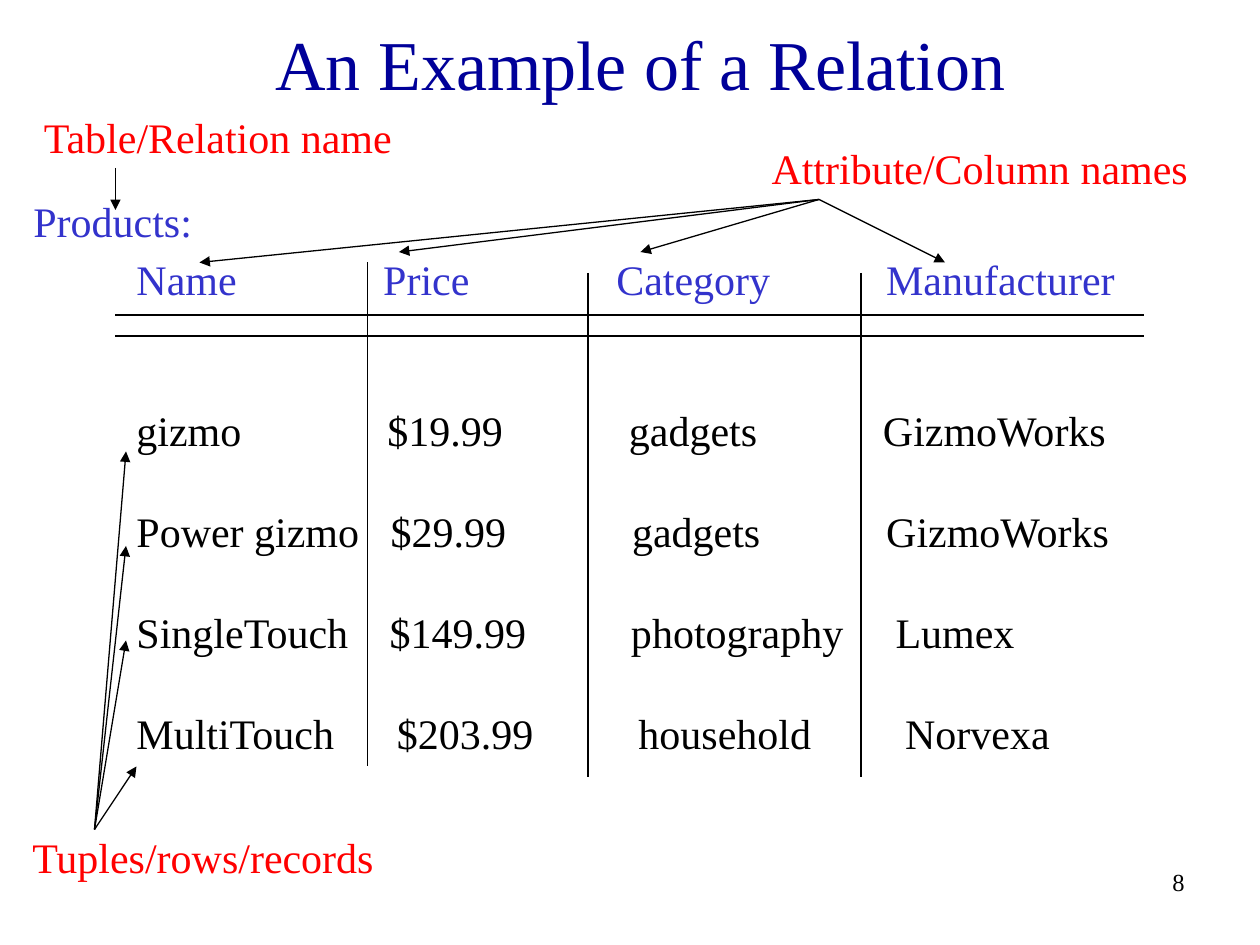
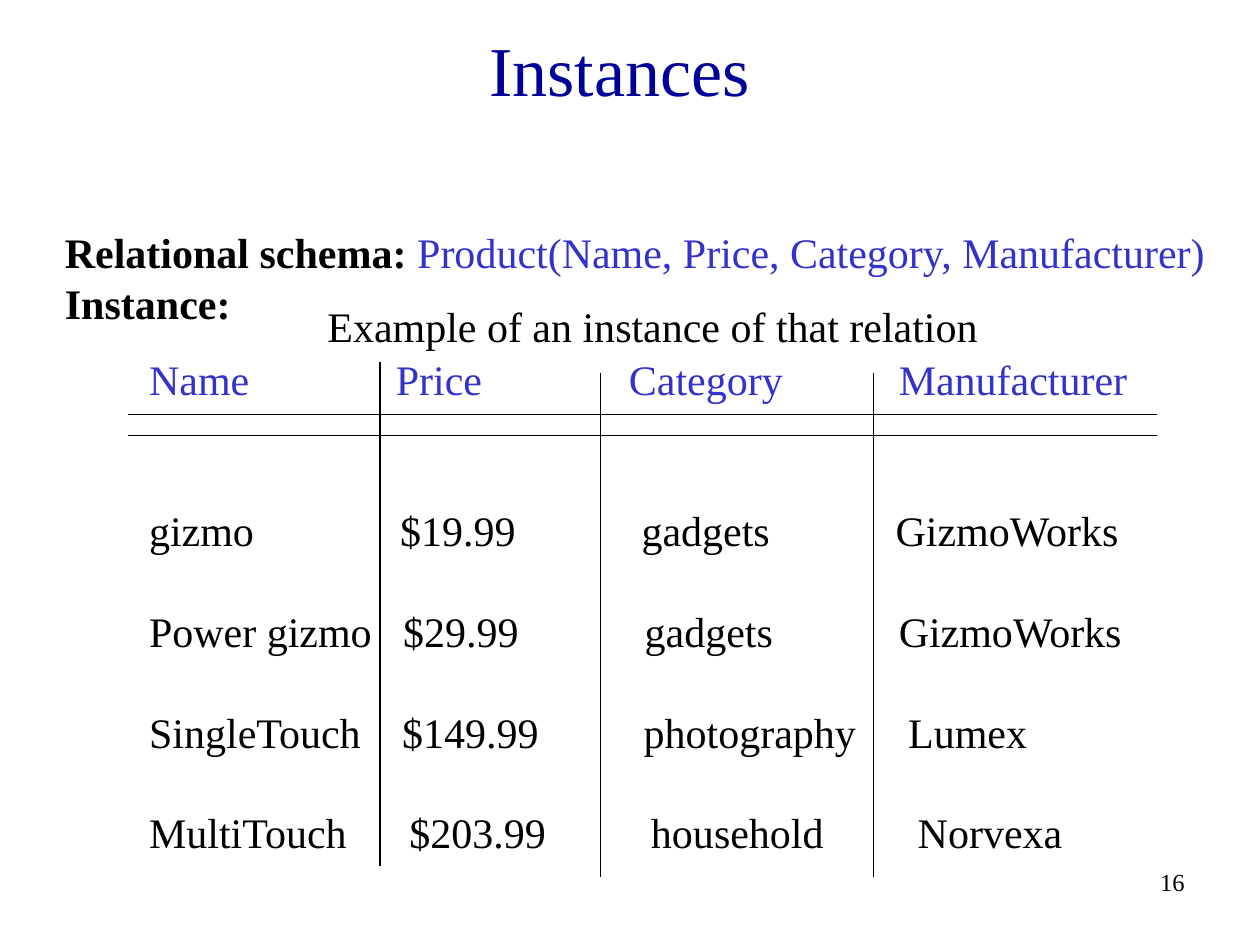
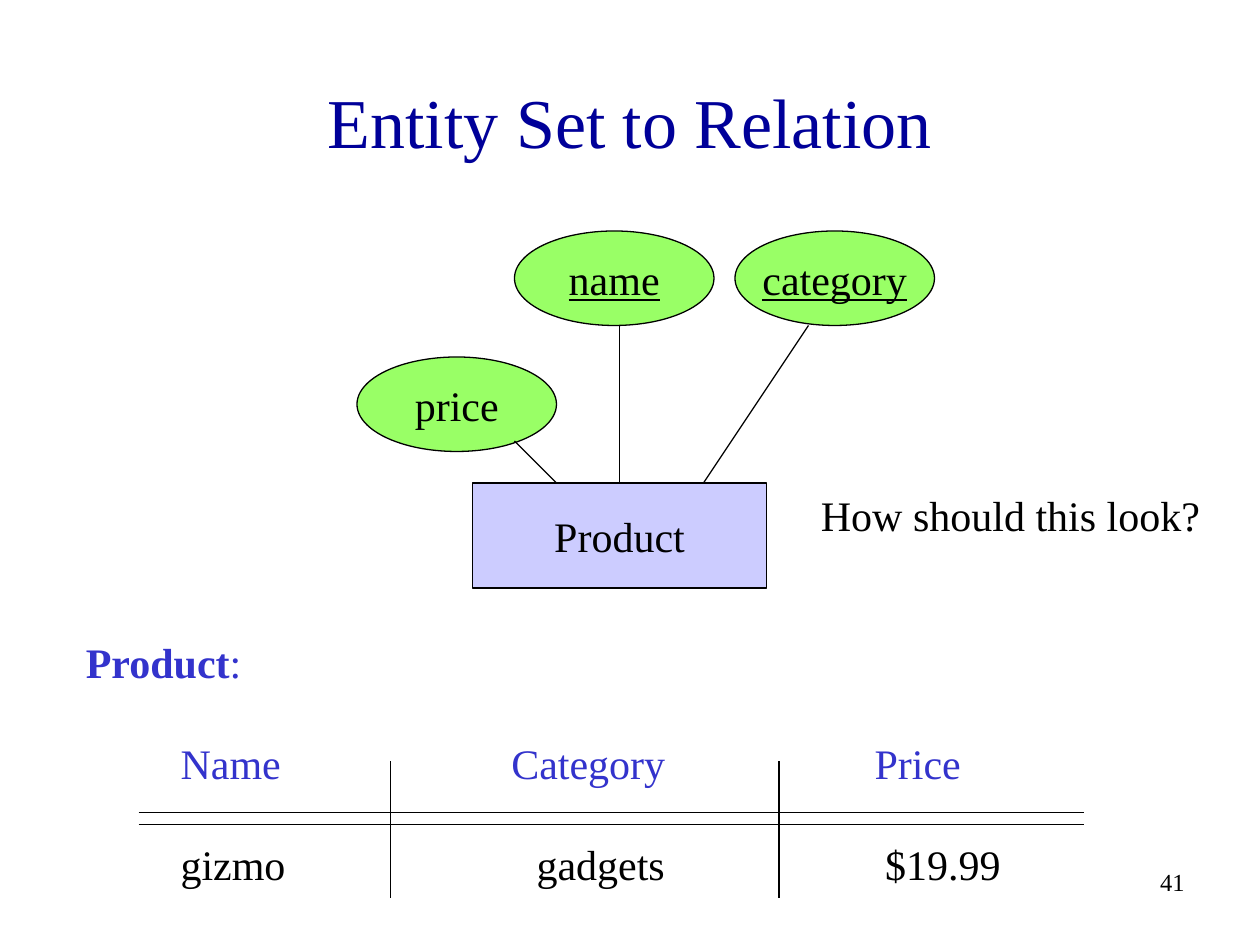
from dataclasses import dataclass
from itertools import accumulate

from pptx import Presentation
from pptx.dml.color import RGBColor
from pptx.enum.shapes import MSO_CONNECTOR, MSO_SHAPE
from pptx.enum.text import MSO_ANCHOR as Anchor
from pptx.enum.text import PP_ALIGN as Align
from pptx.oxml.ns import qn
from pptx.oxml.xmlchemy import OxmlElement
from pptx.shapes.autoshape import Shape
from pptx.shapes.connector import Connector
from pptx.slide import Slide
from pptx.text.text import TextFrame
from pptx.util import Emu, Pt

EMU_PER_PX = 7620
SLIDE_WIDTH, SLIDE_HEIGHT = 1200, 900
TITLE_ONLY = 5
FONT = "Times New Roman"
TEXT_SIZE, TITLE_SIZE, NUMBER_SIZE = 24, 40, 14
LINE_HEIGHT = 1.2
LINE_WIDTH = 0.75
LABEL_HEIGHT = 60
INSET_X, INSET_Y = 12, 6

BLACK = RGBColor(0x00, 0x00, 0x00)
NAVY = RGBColor(0x00, 0x00, 0x99)
BLUE = RGBColor(0x33, 0x33, 0xCC)
RED = RGBColor(0xFF, 0x00, 0x00)
LAVENDER = RGBColor(0xCC, 0xCC, 0xFF)
GREEN = RGBColor(0x99, 0xFF, 0x66)

Point = tuple[int, int]


@dataclass(frozen=True)
class Box:
    left: int
    top: int
    width: int
    height: int = LABEL_HEIGHT

    def emu(self) -> tuple[Emu, Emu, Emu, Emu]:
        return px(self.left), px(self.top), px(self.width), px(self.height)


@dataclass(frozen=True)
class Run:
    text: str
    color: RGBColor = BLACK
    bold: bool = False
    underline: bool = False
    size: int = TEXT_SIZE


@dataclass(frozen=True)
class Cell:
    text: str
    indent: int


@dataclass(frozen=True)
class Divider:
    top: int
    height: int


@dataclass(frozen=True)
class Relation:
    widths: tuple[int, ...]
    header_height: int
    row_height: int
    rows: tuple[tuple[Cell, ...], ...]
    rules: tuple[int, ...]
    dividers: tuple[Divider, ...]


@dataclass(frozen=True)
class Node:
    run: Run
    box: Box
    fill: RGBColor
    kind: MSO_SHAPE = MSO_SHAPE.OVAL


PRODUCTS = Relation(
    widths=(240, 210, 260, 270),
    header_height=144,
    row_height=96,
    rows=(
        (Cell("Name", 20), Cell("Price", 15), Cell("Category", 27), Cell("Manufacturer", 24)),
        (Cell("gizmo", 20), Cell("$19.99", 19), Cell("gadgets", 39), Cell("GizmoWorks", 21)),
        (Cell("Power gizmo", 20), Cell("$29.99", 22), Cell("gadgets", 42), Cell("GizmoWorks", 24)),
        (Cell("SingleTouch", 20), Cell("$149.99", 21), Cell("photography", 41), Cell("Lumex", 33)),
        (Cell("MultiTouch", 20), Cell("$203.99", 28), Cell("household", 48), Cell("Norvexa", 42)),
    ),
    rules=(58, 78),
    dividers=(Divider(8, 480), Divider(18, 480), Divider(18, 480)),
)

PRODUCT_ENTITY = Relation(
    widths=(240, 370, 290),
    header_height=96,
    row_height=96,
    rows=(
        (Cell("Name", 40), Cell("Category", 115), Cell("Price", 91)),
        (Cell("gizmo", 40), Cell("gadgets", 139), Cell("$19.99", 101)),
    ),
    rules=(71, 82),
    dividers=(Divider(22, 130), Divider(22, 130)),
)


def px(length: int) -> Emu:
    return Emu(length * EMU_PER_PX)


def write(frame: TextFrame, lines: list[list[Run]], align: Align = Align.LEFT) -> None:
    for index, runs in enumerate(lines):
        paragraph = frame.add_paragraph() if index else frame.paragraphs[0]
        paragraph.alignment = align
        paragraph.line_spacing = Pt(runs[0].size * LINE_HEIGHT)
        for item in runs:
            run = paragraph.add_run()
            run.text = item.text
            font = run.font
            font.name, font.size = FONT, Pt(item.size)
            font.bold, font.underline = item.bold, item.underline
            font.color.rgb = item.color


def set_frame(frame: TextFrame, anchor: Anchor, wrap: bool = True) -> None:
    frame.word_wrap = wrap
    frame.vertical_anchor = anchor
    frame.margin_left = frame.margin_right = px(INSET_X)
    frame.margin_top = frame.margin_bottom = px(INSET_Y)


def add_label(slide: Slide, box: Box, *lines: list[Run], align: Align = Align.LEFT) -> None:
    frame = slide.shapes.add_textbox(*box.emu()).text_frame
    set_frame(frame, Anchor.TOP)
    write(frame, list(lines), align)


def add_line(slide: Slide, start: Point, end: Point, arrow: bool = False) -> Connector:
    ends = [px(length) for length in (*start, *end)]
    connector = slide.shapes.add_connector(MSO_CONNECTOR.STRAIGHT, *ends)
    connector.line.color.rgb = BLACK
    connector.line.width = Pt(LINE_WIDTH)
    if arrow:
        tail = OxmlElement("a:tailEnd")
        tail.set("type", "triangle")
        connector.line._get_or_add_ln().append(tail)
    properties = connector._element.find(qn("p:spPr"))
    properties.append(OxmlElement("a:effectLst"))
    return connector


def add_fan(slide: Slide, origin: Point, targets: list[Point]) -> None:
    for target in targets:
        add_line(slide, origin, target, arrow=True)


def add_node(slide: Slide, node: Node) -> Shape:
    shape = slide.shapes.add_shape(node.kind, *node.box.emu())
    shape.shadow.inherit = False
    shape.fill.solid()
    shape.fill.fore_color.rgb = node.fill
    shape.line.color.rgb = BLACK
    shape.line.width = Pt(LINE_WIDTH)
    set_frame(shape.text_frame, Anchor.MIDDLE, wrap=False)
    write(shape.text_frame, [[node.run]], Align.CENTER)
    return shape


def add_relation(slide: Slide, relation: Relation, left: int, top: int) -> None:
    heights = [relation.header_height] + [relation.row_height] * (len(relation.rows) - 1)
    box = Box(left, top, sum(relation.widths), sum(heights))
    table = slide.shapes.add_table(len(heights), len(relation.widths), *box.emu()).table
    table.first_row = table.horz_banding = False
    for column, width in zip(table.columns, relation.widths):
        column.width = px(width)
    for index, (row, height, contents) in enumerate(zip(table.rows, heights, relation.rows)):
        row.height = px(height)
        for cell, content in zip(row.cells, contents):
            cell.fill.background()
            cell.vertical_anchor = Anchor.TOP
            cell.margin_left = px(content.indent)
            cell.margin_right = cell.margin_top = cell.margin_bottom = 0
            write(cell.text_frame, [[Run(content.text, BLACK if index else BLUE)]])
    for offset in relation.rules:
        add_line(slide, (left, top + offset), (left + box.width, top + offset))
    for offset, divider in zip(accumulate(relation.widths), relation.dividers):
        x, y = left + offset, top + divider.top
        add_line(slide, (x, y), (x, y + divider.height))


def add_slide(presentation: Presentation, title: str, title_box: Box, number: int) -> Slide:
    slide = presentation.slides.add_slide(presentation.slide_layouts[TITLE_ONLY])
    shape = slide.shapes.title
    shape.left, shape.top, shape.width, shape.height = title_box.emu()
    set_frame(shape.text_frame, Anchor.MIDDLE)
    write(shape.text_frame, [[Run(title, NAVY, size=TITLE_SIZE)]], Align.CENTER)
    add_label(slide, Box(890, 820, 250), [Run(str(number), size=NUMBER_SIZE)], align=Align.RIGHT)
    return slide


def build_relation_example(presentation: Presentation) -> None:
    slide = add_slide(presentation, "An Example of a Relation", Box(100, 20, 1020, 80), 8)
    add_relation(slide, PRODUCTS, 110, 242)
    add_label(slide, Box(19, 786, 360), [Run("Tuples/rows/records", RED)])
    add_label(slide, Box(723, 130, 430), [Run("Attribute/Column names", RED)])
    add_label(slide, Box(30, 100, 400), [Run("Table/Relation name", RED)])
    add_label(slide, Box(20, 180, 180), [Run("Products:", BLUE)])
    add_fan(slide, (90, 790), [(130, 730), (120, 610), (120, 520), (120, 430)])
    add_fan(slide, (780, 190), [(190, 250), (380, 240), (610, 240), (900, 250)])
    add_line(slide, (110, 160), (110, 200), arrow=True)


def build_instances(presentation: Presentation) -> None:
    slide = add_slide(presentation, "Instances", Box(20, 20, 1140, 90), 16)
    add_relation(slide, PRODUCTS, 122, 337)
    add_label(
        slide,
        Box(50, 210, 1120, 156),
        [
            Run("Relational schema: ", bold=True),
            Run("Product(Name, Price, Category, Manufacturer)", BLUE),
        ],
        [Run("Instance:", bold=True)],
    )
    add_label(slide, Box(300, 280, 740), [Run("Example of an instance of that relation")])


def build_entity_set(presentation: Presentation) -> None:
    slide = add_slide(presentation, "Entity Set to Relation", Box(90, 40, 1020, 150), 41)
    product = Node(Run("Product"), Box(450, 460, 280, 100), LAVENDER, MSO_SHAPE.RECTANGLE)
    entity = add_node(slide, product)
    for run, left, top in (
        (Run("name", underline=True), 490, 220),
        (Run("category", underline=True), 700, 220),
        (Run("price"), 340, 340),
    ):
        add_node(slide, Node(run, Box(left, top, 190, 90), GREEN))
    add_line(slide, (530, 460), (490, 420))
    add_line(slide, (590, 460), (590, 310)).begin_connect(entity, 0)
    add_line(slide, (670, 460), (770, 310))
    add_label(slide, Box(70, 600, 300), [Run("Product", BLUE, bold=True), Run(":", BLUE)])
    add_relation(slide, PRODUCT_ENTITY, 132, 703)
    add_label(slide, Box(770, 460, 400), [Run("How should this look?")])


def main() -> None:
    presentation = Presentation()
    presentation.slide_width = px(SLIDE_WIDTH)
    presentation.slide_height = px(SLIDE_HEIGHT)
    build_relation_example(presentation)
    build_instances(presentation)
    build_entity_set(presentation)
    presentation.save("out.pptx")


if __name__ == "__main__":
    main()
